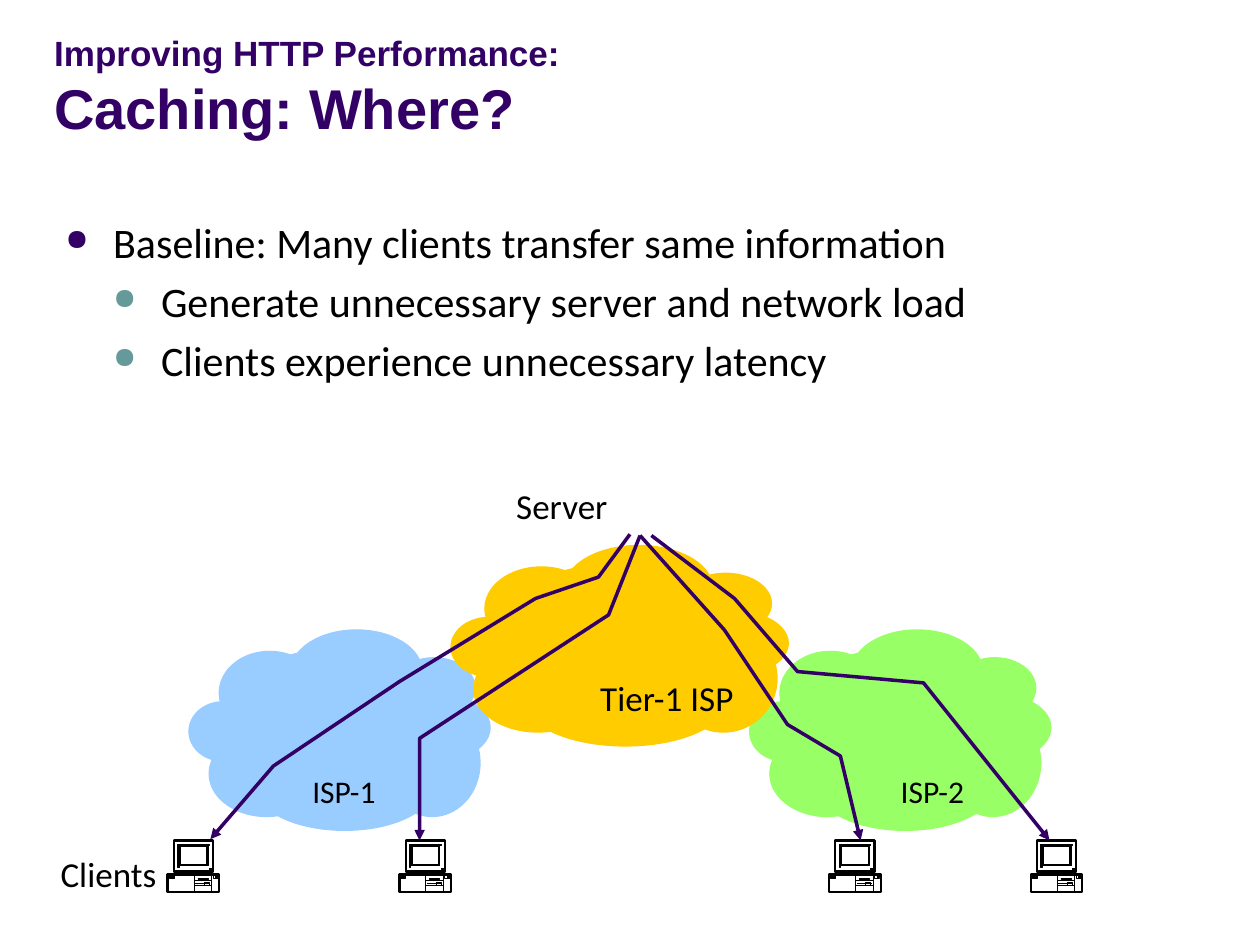
from copy import deepcopy
from lxml.etree import SubElement
from pptx import Presentation
from pptx.dml.color import RGBColor
from pptx.enum.shapes import MSO_CONNECTOR, MSO_SHAPE
from pptx.enum.text import MSO_ANCHOR, MSO_AUTO_SIZE, PP_ALIGN
from pptx.oxml.ns import qn
from pptx.util import Inches, Pt

PURPLE = RGBColor(0x33, 0x00, 0x66)
TEAL = RGBColor(0x66, 0x99, 0x99)
BLUE = RGBColor(0x99, 0xCC, 0xFF)
GREEN = RGBColor(0x99, 0xFF, 0x66)
GOLD = RGBColor(0xFF, 0xCC, 0x00)
BLACK = RGBColor(0, 0, 0)
WHITE = RGBColor(0xFF, 0xFF, 0xFF)

TITLE = [("Improving HTTP Performance:", 20), ("Caching: Where?", 32)]
BULLETS = [
    (0, "Baseline: Many clients transfer same information"),
    (1, "Generate unnecessary server and network load"),
    (1, "Clients experience unnecessary latency"),
]
BULLET_COLORS = [PURPLE, TEAL]
LABELS = [
    ("Server", 3.89, 3.8, 1.03, 0.43, 20),
    ("Clients", 0.28, 6.72, 1.06, 0.43, 20),
    ("Tier-1 ISP", 4.47, 5.32, 1.45, 0.43, 20),
    ("ISP-1", 2.25, 6.08, 0.83, 0.4, 18),
    ("ISP-2", 6.92, 6.08, 0.83, 0.4, 18),
]
ROUTES = [
    [(5, 4.24), (4.75, 4.58), (4.25, 4.75), (3.17, 5.41), (2.17, 6.08), (1.67, 6.66)],
    [(5.08, 4.25), (4.83, 4.88), (3.33, 5.86), (3.33, 6.67)],
    [(5.17, 4.25), (5.83, 4.75), (6.33, 5.33), (7.33, 5.42), (8.33, 6.67)],
    [(5.08, 4.25), (5.75, 5), (6.25, 5.75), (6.67, 6), (6.83, 6.67)],
]

CLOUDS = [(1.5, 5, 1, BLUE), (5.95, 5, 1, GREEN), (3.58, 4.33, 1.12, GOLD)]
CLOUD_PUFFS = [
    (0.81, 0, 1.04, 0.66), (0.24, 0.17, 0.8, 0.66), (0, 0.57, 0.54, 0.47),
    (0.16, 0.8, 0.91, 0.68), (0.53, 0.9, 1.41, 0.69), (1.62, 0.22, 0.65, 0.48),
    (1.62, 0.52, 0.77, 0.51), (1.55, 0.63, 0.76, 0.85), (0.17, 0.14, 2.12, 1.42),
]

CLIENT_LEFTS = [6.58, 8.18, 1.33, 3.17]
CLIENT_TOP = 6.67
THICK, THIN = 1.25, 0.38


def box(left, top, right, bottom):
    return [(left, bottom), (right, bottom), (right, top), (left, top)]


CASE = [[(0.09, 0.27), (0, 0.27), (0, 0.41), (0.41, 0.41), (0.41, 0.27), (0.32, 0.27),
         (0.32, 0.25), (0.36, 0.25), (0.36, 0), (0.05, 0), (0.05, 0.25), (0.09, 0.25)]]
DRIVES = [box(0.21, 0.28, 0.35, 0.4), box(0.36, 0.28, 0.38, 0.3)]
DETAILS = [
    box(0.33, 0.22, 0.35, 0.23),
    box(0.1, 0.05, 0.31, 0.19),
    [(0.09, 0.2), (0.32, 0.2), (0.32, 0.04), (0.33, 0.04), (0.33, 0.03),
     (0.08, 0.03), (0.08, 0.21), (0.09, 0.21)],
    box(0.01, 0.28, 0.05, 0.3),
    box(0.24, 0.3, 0.32, 0.31),
    box(0.38, 0.28, 0.4, 0.29),
    box(0.38, 0.3, 0.4, 0.3),
]
BASE_LINES = [(0.09, 0.27, 0.32, 0.27), (0.09, 0.25, 0.32, 0.25)]
DRIVE_LINES = [(0.21, 0.32, 0.35, 0.32), (0.21, 0.36, 0.35, 0.36), (0.22, 0.34, 0.34, 0.34)]
SCREEN_LINES = [(0.05, 0.24, 0.36, 0.24), (0.13, 0.25, 0.13, 0.24), (0.21, 0.25, 0.21, 0.24)]


def style(shape, fill, line, width):
    shape.shadow.inherit = False
    if fill is None:
        shape.fill.background()
    else:
        shape.fill.solid()
        shape.fill.fore_color.rgb = fill
    shape.line.color.rgb = line
    shape.line.width = Pt(width)


def add_outline(shapes, contours, fill, line, width, left=0, top=0, close=True):
    placed = [[(Inches(left + x), Inches(top + y)) for x, y in contour] for contour in contours]
    builder = shapes.build_freeform(*placed[0][0])
    for index, points in enumerate(placed):
        if index:
            builder.move_to(*points[0])
        builder.add_line_segments(points[1:], close=close)
    shape = builder.convert_to_shape()
    style(shape, fill, line, width)
    return shape


def add_lines(shapes, lines, width, left):
    for x1, y1, x2, y2 in lines:
        connector = shapes.add_connector(
            MSO_CONNECTOR.STRAIGHT, Inches(left + x1), Inches(CLIENT_TOP + y1),
            Inches(left + x2), Inches(CLIENT_TOP + y2))
        connector.line.color.rgb = BLACK
        connector.line.width = Pt(width)
        SubElement(connector._element.spPr, qn("a:effectLst"))


def add_client(slide, left):
    shapes = slide.shapes.add_group_shape().shapes
    add_outline(shapes, CASE, WHITE, BLACK, THICK, left, CLIENT_TOP)
    add_lines(shapes, BASE_LINES, THICK, left)
    add_outline(shapes, DRIVES, WHITE, BLACK, THIN, left, CLIENT_TOP)
    add_lines(shapes, DRIVE_LINES, THIN, left)
    button = shapes.add_shape(MSO_SHAPE.RECTANGLE, Inches(left + 0.29), Inches(CLIENT_TOP + 0.33),
                              Inches(0.04), Inches(0.03))
    style(button, None, BLACK, THIN)
    add_outline(shapes, DETAILS, BLACK, BLACK, THIN, left, CLIENT_TOP)
    add_lines(shapes, SCREEN_LINES, THIN, left)


def add_cloud(slide, left, top, stretch, color):
    shapes = slide.shapes.add_group_shape().shapes
    for x, y, width, height in CLOUD_PUFFS:
        puff = shapes.add_shape(MSO_SHAPE.OVAL, Inches(left + x * stretch), Inches(top + y),
                                Inches(width * stretch), Inches(height))
        style(puff, color, color, 0.75)


def format_font(font, name, size, color, bold=False):
    font.name = name
    font.size = Pt(size)
    font.color.rgb = color
    font.bold = bold


def add_title(slide):
    title = slide.shapes.title
    title.left, title.top, title.width, title.height = map(Inches, (0.33, 0.25, 8.82, 0.92))
    frame = title.text_frame
    frame.text = "\v".join(text for text, size in TITLE)
    frame.auto_size = MSO_AUTO_SIZE.NONE
    frame.vertical_anchor = MSO_ANCHOR.BOTTOM
    paragraph = frame.paragraphs[0]
    paragraph.alignment = PP_ALIGN.LEFT
    for run, (text, size) in zip(paragraph.runs, TITLE):
        format_font(run.font, "Arial", size, PURPLE, True)
    line_break = paragraph._p.find(qn("a:br"))
    line_break.append(deepcopy(paragraph.runs[0]._r.find(qn("a:rPr"))))


def add_bullets(slide):
    frame = slide.shapes.add_textbox(*map(Inches, (0.42, 1.67, 8.83, 1.42))).text_frame
    frame.word_wrap = True
    frame.text = "\n".join(text for level, text in BULLETS)
    for index, (paragraph, (level, text)) in enumerate(zip(frame.paragraphs, BULLETS)):
        paragraph.level = level
        paragraph.space_before = Pt(4.8 if index else 0)
        properties = paragraph._p.get_or_add_pPr()
        properties.set("marL", str(Inches(0.38 * (level + 1))))
        properties.set("indent", str(Inches(-0.38)))
        color = SubElement(properties, qn("a:buClr"))
        SubElement(color, qn("a:srgbClr"), val=str(BULLET_COLORS[level]))
        SubElement(properties, qn("a:buSzPct"), val="70000")
        SubElement(properties, qn("a:buChar"), char="●")
        format_font(paragraph.runs[0].font, "Calibri", 24, BLACK)


def add_label(slide, text, left, top, width, height, size):
    frame = slide.shapes.add_textbox(*map(Inches, (left, top, width, height))).text_frame
    frame.word_wrap = False
    frame.text = text
    frame.paragraphs[0].alignment = PP_ALIGN.RIGHT
    format_font(frame.paragraphs[0].runs[0].font, "Calibri", size, BLACK)


def add_route(slide, points):
    route = add_outline(slide.shapes, [points], None, PURPLE, 2, close=False)
    SubElement(route._element.spPr.find(qn("a:ln")), qn("a:tailEnd"), type="triangle")


def main():
    presentation = Presentation()
    presentation.slide_width, presentation.slide_height = Inches(10), Inches(7.5)
    slide = presentation.slides.add_slide(presentation.slide_layouts[5])
    add_title(slide)
    add_bullets(slide)
    for left in CLIENT_LEFTS:
        add_client(slide, left)
    for cloud in CLOUDS:
        add_cloud(slide, *cloud)
    for route in ROUTES:
        add_route(slide, route)
    for label in LABELS:
        add_label(slide, *label)
    presentation.save("out.pptx")


if __name__ == "__main__":
    main()
